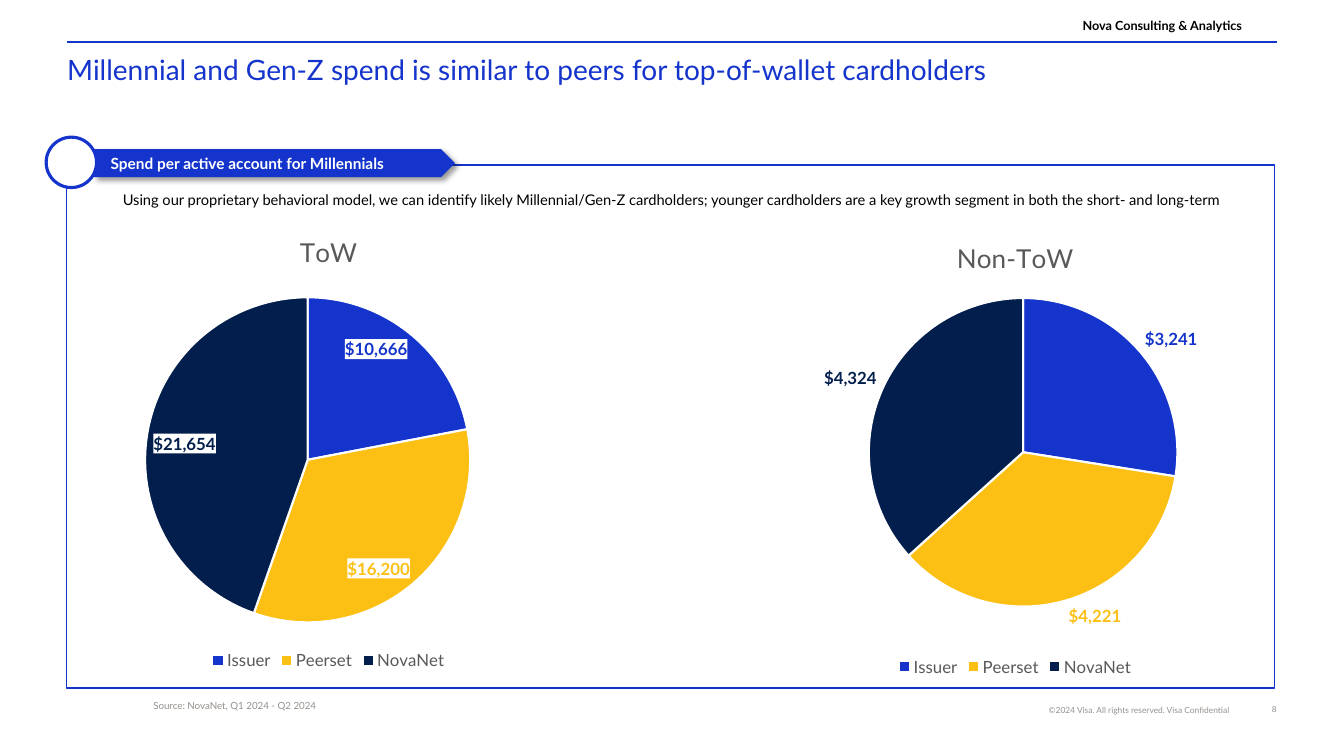
from dataclasses import dataclass

from lxml.etree import SubElement
from pptx import Presentation
from pptx.chart.data import ChartData
from pptx.dml.color import RGBColor
from pptx.enum.chart import XL_CHART_TYPE, XL_LABEL_POSITION, XL_LEGEND_POSITION
from pptx.enum.shapes import MSO_CONNECTOR, MSO_SHAPE
from pptx.enum.text import MSO_ANCHOR, PP_ALIGN
from pptx.oxml import parse_xml
from pptx.oxml.ns import nsdecls, qn
from pptx.util import Pt


@dataclass(frozen=True)
class Theme:
    font: str = "Lato"
    blue: str = "1434CB"
    gold: str = "FCC015"
    navy: str = "021E4C"
    white: str = "FFFFFF"
    black: str = "000000"
    gray: str = "595959"
    pale: str = "96918D"
    title: float = 20
    chart: float = 18.6
    label: float = 12
    tag: float = 11
    body: float = 10.5
    brand: float = 9
    note: float = 7
    foot: float = 6


THEME = Theme()
MONEY = '"$"#,##0'


def rgb(code):
    return RGBColor.from_string(code)


def style(font, size, color, bold=False):
    font.name, font.size, font.bold = THEME.font, Pt(size), bold
    font.color.rgb = rgb(color)


def write(slide, text, box, size=THEME.body, color=THEME.black, bold=False,
          align=PP_ALIGN.LEFT, anchor=MSO_ANCHOR.TOP, space=None):
    frame = slide.shapes.add_textbox(*map(Pt, box)).text_frame
    frame.word_wrap = True
    frame.vertical_anchor = anchor
    frame.margin_left = frame.margin_right = 0
    frame.margin_top = frame.margin_bottom = 0
    para = frame.paragraphs[0]
    para.alignment = align
    if space:
        para.line_spacing = space
    run = para.add_run()
    run.text = text
    style(run.font, size, color, bold)


def shape(slide, kind, box, fill, line=None, width=1):
    item = slide.shapes.add_shape(kind, *map(Pt, box))
    item.shadow.inherit = False
    item.fill.solid()
    item.fill.fore_color.rgb = rgb(fill)
    if line:
        item.line.color.rgb = rgb(line)
        item.line.width = Pt(width)
    else:
        item.line.fill.background()
    return item


def shade(item):
    """Give a shape a soft shadow to the lower right."""
    effects = item._element.spPr.find(qn("a:effectLst"))
    outer = SubElement(effects, qn("a:outerShdw"), blurRad=str(Pt(4)),
                       dist=str(Pt(3)), dir="2700000", algn="tl", rotWithShape="0")
    color = SubElement(outer, qn("a:srgbClr"), val=THEME.black)
    SubElement(color, qn("a:alpha"), val="40000")


def header(slide, box):
    left, top, width, _ = box
    # Brand line above the rule
    write(slide, "Nova Consulting & Analytics", (left + width - 165, top - 16.5, 140, 10),
          size=THEME.brand, bold=True, align=PP_ALIGN.RIGHT,
          anchor=MSO_ANCHOR.BOTTOM, space=0.9)
    rule = slide.shapes.add_connector(MSO_CONNECTOR.STRAIGHT, Pt(left), Pt(top),
                                      Pt(left + width), Pt(top))
    rule.line.color.rgb = rgb(THEME.blue)
    rule.line.width = Pt(1.5)
    SubElement(rule._element.spPr, qn("a:effectLst"))
    # Slide title
    write(slide, "Millennial and Gen-Z spend is similar to peers for top-of-wallet cardholders",
          (left, top + 7.5, width, 42), size=THEME.title, color=THEME.blue)


def panel(slide, box):
    left, top, width, _ = box
    shape(slide, MSO_SHAPE.RECTANGLE, box, THEME.white, THEME.blue)
    # Section tag with its badge
    shade(shape(slide, MSO_SHAPE.PENTAGON, (left + 19.5, top - 11.5, 258, 20), THEME.blue))
    write(slide, "Spend per active account for Millennials",
          (left + 31.5, top - 8, 268, 14), size=THEME.tag, color=THEME.white, bold=True)
    shape(slide, MSO_SHAPE.OVAL, (left - 14.5, top - 20, 36, 36),
          THEME.white, THEME.blue, 2.25)
    # Lead sentence
    write(slide, "Using our proprietary behavioral model, we can identify likely "
          "Millennial/Gen-Z cardholders; younger cardholders are a key growth segment "
          "in both the short- and long-term",
          (left + 9, top + 18, width - 16, 26), align=PP_ALIGN.CENTER)


def arrange(chart, area):
    """Fix the pie inside its chart, as shares of the chart's size."""
    plot = chart._chartSpace.chart.plotArea
    for old in plot.findall(qn("c:layout")):
        plot.remove(old)
    sides = "".join(f'<c:{key} val="{val}"/>' for key, val in zip("xywh", area))
    plot.insert(0, parse_xml(
        f'<c:layout {nsdecls("c")}><c:manualLayout><c:layoutTarget val="inner"/>'
        f'<c:xMode val="edge"/><c:yMode val="edge"/>{sides}</c:manualLayout></c:layout>'))


def back(label):
    """Put a white ground behind a data label."""
    text = label._dLbl.find(qn("c:txPr"))
    text.addprevious(parse_xml(
        f'<c:spPr {nsdecls("c", "a")}><a:solidFill><a:srgbClr val="{THEME.white}"/>'
        '</a:solidFill></c:spPr>'))


def pie(slide, box, name, values, area, place, ground=False):
    data = ChartData(number_format=MONEY)
    data.categories = ["Issuer", "Peerset", "NovaNet"]
    data.add_series(name, values)
    chart = slide.shapes.add_chart(XL_CHART_TYPE.PIE, *map(Pt, box), data).chart
    style(chart.font, 10, THEME.black)
    arrange(chart, area)
    # Title and legend
    chart.has_title = True
    chart.chart_title.text_frame.text = name
    style(chart.chart_title.text_frame.paragraphs[0].runs[0].font, THEME.chart, THEME.gray)
    chart.has_legend = True
    chart.legend.position = XL_LEGEND_POSITION.BOTTOM
    chart.legend.include_in_layout = False
    style(chart.legend.font, THEME.label, THEME.gray)
    # Value labels
    plot = chart.plots[0]
    plot.vary_by_categories = True
    labels = plot.series[0].data_labels
    labels.show_value = True
    labels.number_format, labels.number_format_is_linked = MONEY, False
    labels.position = place
    # Slices, each with a label in its own colour
    for i, color in enumerate((THEME.blue, THEME.gold, THEME.navy)):
        point = plot.series[0].points[i]
        point.format.fill.solid()
        point.format.fill.fore_color.rgb = rgb(color)
        point.format.line.color.rgb = rgb(THEME.white)
        point.format.line.width = Pt(1.5)
        label = point.data_label
        style(label.font, THEME.label, color, True)
        label.position = place
        if ground:
            back(label)


def footer(slide, box):
    left, top, width, _ = box
    write(slide, "Source: NovaNet, Q1 2024 - Q2 2024", (left + 61.5, top, 501, 21),
          size=THEME.note, color=THEME.pale)
    write(slide, "©2024 Visa. All rights reserved. Visa Confidential",
          (left + width - 194, top + 3.5, 160, 7.5), size=THEME.foot, color=THEME.pale,
          align=PP_ALIGN.RIGHT, anchor=MSO_ANCHOR.BOTTOM)
    write(slide, "8", (left + width - 31, top + 3.5, 31, 7.5), size=THEME.foot,
          color=THEME.pale, align=PP_ALIGN.RIGHT)


def main():
    deck = Presentation()
    deck.slide_width, deck.slide_height = Pt(960), Pt(540)
    slide = deck.slides.add_slide(deck.slide_layouts[6])
    header(slide, (48, 30, 864, 50))
    panel(slide, (47.5, 118, 863, 373.5))
    pie(slide, (47.5, 152.5, 374.5, 329), "ToW", (10666, 16200, 21654),
        (0.15, 0.18, 0.62, 0.71), XL_LABEL_POSITION.INSIDE_END, ground=True)
    pie(slide, (538, 157, 374.5, 329), "Non-ToW", (3241, 4221, 4324),
        (0.22, 0.17, 0.59, 0.67), XL_LABEL_POSITION.OUTSIDE_END)
    footer(slide, (48, 499.5, 864, 21))
    deck.save("out.pptx")


if __name__ == "__main__":
    main()
